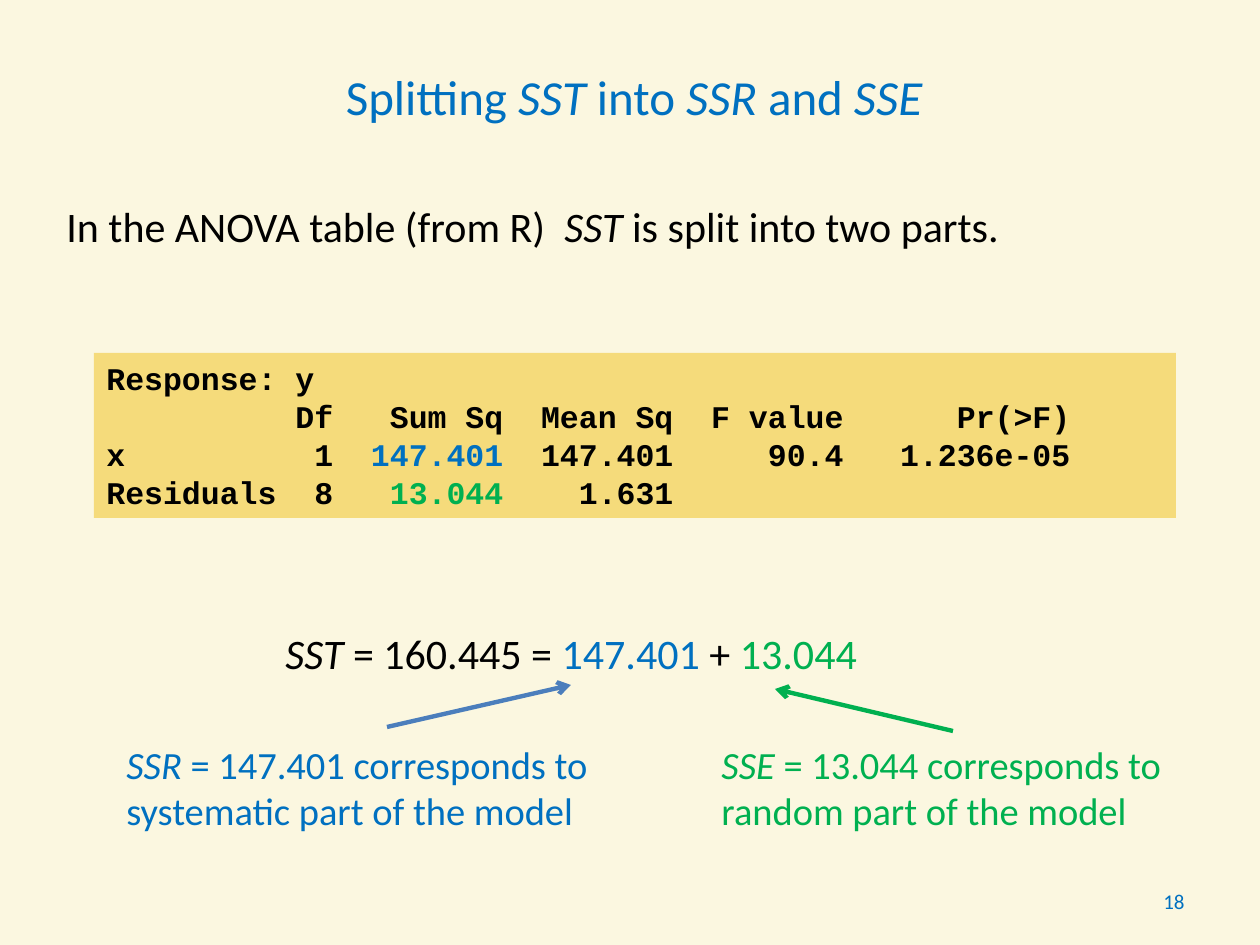
from lxml import etree
from pptx import Presentation
from pptx.dml.color import RGBColor
from pptx.enum.shapes import MSO_CONNECTOR, MSO_SHAPE
from pptx.enum.text import MSO_ANCHOR, PP_ALIGN
from pptx.oxml.ns import qn
from pptx.util import Emu, Pt

STRAIGHT, RECTANGLE = MSO_CONNECTOR.STRAIGHT, MSO_SHAPE.RECTANGLE
TOP, MIDDLE = MSO_ANCHOR.TOP, MSO_ANCHOR.MIDDLE
LEFT, CENTER, RIGHT = PP_ALIGN.LEFT, PP_ALIGN.CENTER, PP_ALIGN.RIGHT

CREAM = RGBColor(0xFB, 0xF7, 0xE0)
GOLD = RGBColor(0xF5, 0xDB, 0x7B)
BLACK = RGBColor(0, 0, 0)
BLUE = RGBColor(0x00, 0x70, 0xC0)
STEEL = RGBColor(0x4B, 0x7E, 0xBC)
GREEN = RGBColor(0x00, 0xB0, 0x50)

PIXEL = 914400 / 126
COURIER_ADVANCE = 0.6


def px(length):
    return Emu(round(length * PIXEL))


class SlideBuilder:
    """Draws styled elements on one slide, with lengths in pixels."""

    def __init__(self, deck):
        self.slide = deck.slides.add_slide(deck.slide_layouts[5])
        self.slide.background.fill.solid()
        self.slide.background.fill.fore_color.rgb = CREAM

    def set_text(self, shape, lines, size, color=BLACK, font="Calibri", bold=False,
                 align=LEFT, anchor=TOP):
        """Fill a shape with lines of (text, italic, colour) runs."""
        frame = shape.text_frame
        frame.word_wrap = True
        frame.vertical_anchor = anchor
        for index, line in enumerate(lines):
            paragraph = frame.add_paragraph() if index else frame.paragraphs[0]
            paragraph.alignment = align
            for text, slanted, run_color in line:
                run = paragraph.add_run()
                run.text = text
                run.font.name, run.font.size = font, Pt(size)
                run.font.bold, run.font.italic = bold, slanted
                run.font.color.rgb = run_color or color

    def title(self, box, line, size, color):
        title = self.slide.shapes.title
        title.left, title.top, title.width, title.height = map(px, box)
        self.set_text(title, [line], size, color, align=CENTER, anchor=MIDDLE)

    def text(self, box, lines, size, **style):
        self.set_text(self.slide.shapes.add_textbox(*map(px, box)), lines, size, **style)

    def console(self, box, lines, size, column_ends):
        """Draw monospaced output with right-aligned columns ending at given characters."""
        panel = self.slide.shapes.add_shape(RECTANGLE, *map(px, box))
        panel.shadow.inherit = False
        panel.fill.solid()
        panel.fill.fore_color.rgb = GOLD
        panel.line.fill.background()
        self.set_text(panel, lines, size, font="Courier New", bold=True)
        for paragraph in panel.text_frame.paragraphs:
            stops = etree.SubElement(paragraph._p.get_or_add_pPr(), qn("a:tabLst"))
            for end in column_ends:
                position = Pt(end * size * COURIER_ADVANCE)
                etree.SubElement(stops, qn("a:tab"), pos=str(int(position)), algn="r")

    def arrow(self, start, end, color):
        arrow = self.slide.shapes.add_connector(STRAIGHT, *map(px, start + end))
        arrow.line.color.rgb = color
        arrow.line.width = Pt(2.5)
        properties = arrow._element.spPr
        etree.SubElement(properties.find(qn("a:ln")), qn("a:tailEnd"), type="arrow")
        etree.SubElement(properties, qn("a:effectLst"))


def plain(text, color=None):
    return text, False, color


def italic(text):
    return text, True, None


deck = Presentation()
deck.slide_width, deck.slide_height = px(1260), px(945)
page = SlideBuilder(deck)

page.title((54, 55, 1160, 82),
           [plain("Splitting "), italic("SST "), plain("into"), italic(" SSR "),
            plain("and"), italic(" SSE")], 28, BLUE)
page.text((54, 194, 1160, 64),
          [[plain("In the ANOVA table (from R)  "), italic("SST"),
            plain(" is split into two parts.")]], 24)

page.console((94, 353, 1082, 165), [
    [plain("Response: y")],
    [plain("\tDf\tSum Sq\tMean Sq\tF value\tPr(>F)")],
    [plain("x\t1\t"), plain("147.401", BLUE), plain("\t147.401\t90.4\t1.236e-05")],
    [plain("Residuals\t8\t"), plain("13.044", GREEN), plain("\t1.631")],
], 18, column_ends=(12, 21, 30, 39, 51))

page.text((273, 621, 674, 64),
          [[italic("SST"), plain(" = 160.445 = "), plain("147.401 ", BLUE),
            plain("+ "), plain("13.044", GREEN)]], 24)

parts = [
    (114, 556, "SSR", "147.401", "systematic", BLUE),
    (709, 536, "SSE", "13.044", "random", GREEN),
]
for left, width, symbol, value, part, color in parts:
    page.text((left, 735, width, 106),
              [[italic(symbol), plain(f" = {value} corresponds to")],
               [plain(f"{part} part of the model")]], 22, color=color)

page.arrow((387, 727), (571, 685), STEEL)
page.arrow((953, 731), (775, 689), GREEN)

page.text((1106, 876, 91, 50), [[plain("18")]], 12, color=BLUE, align=RIGHT, anchor=MIDDLE)

deck.save("out.pptx")
